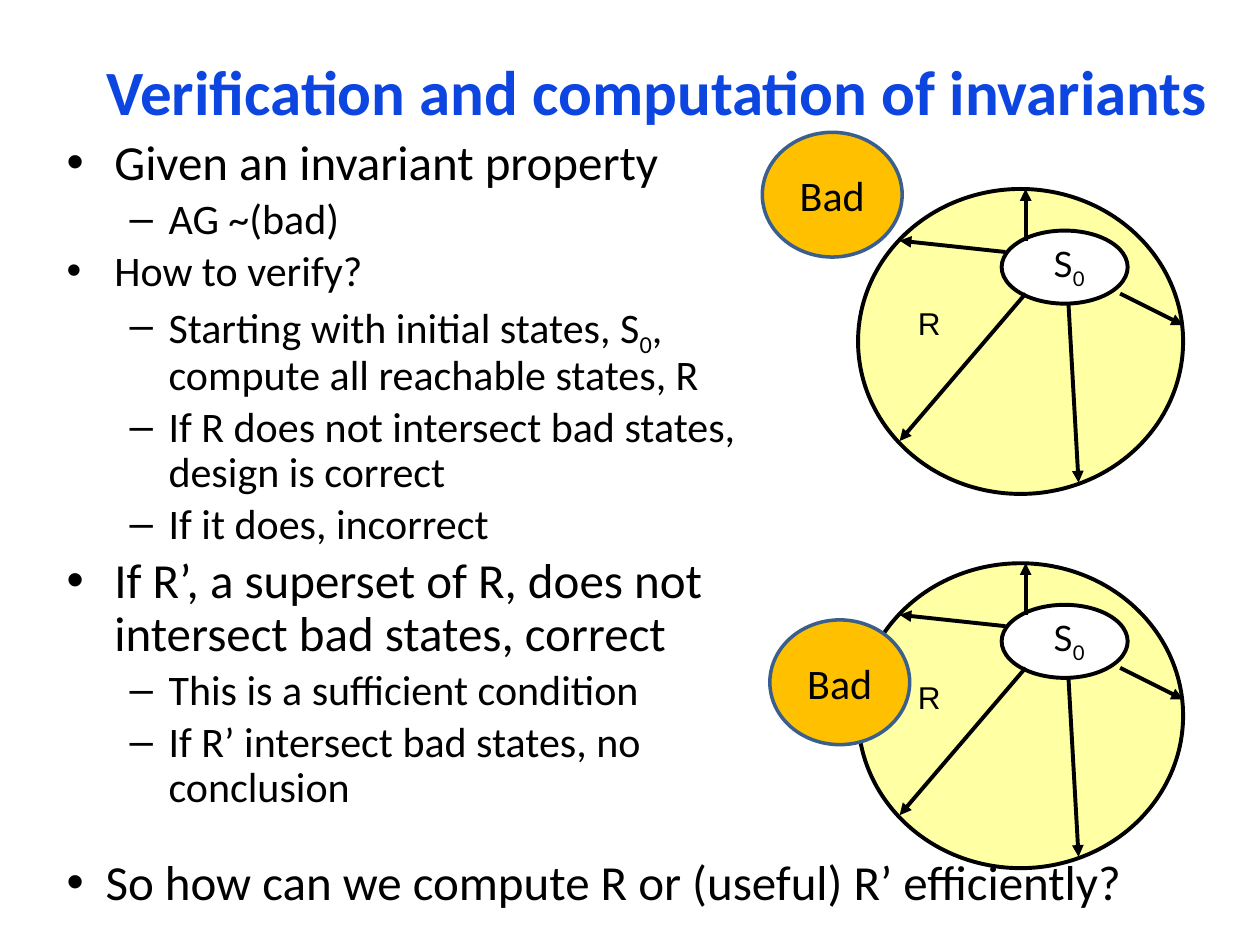
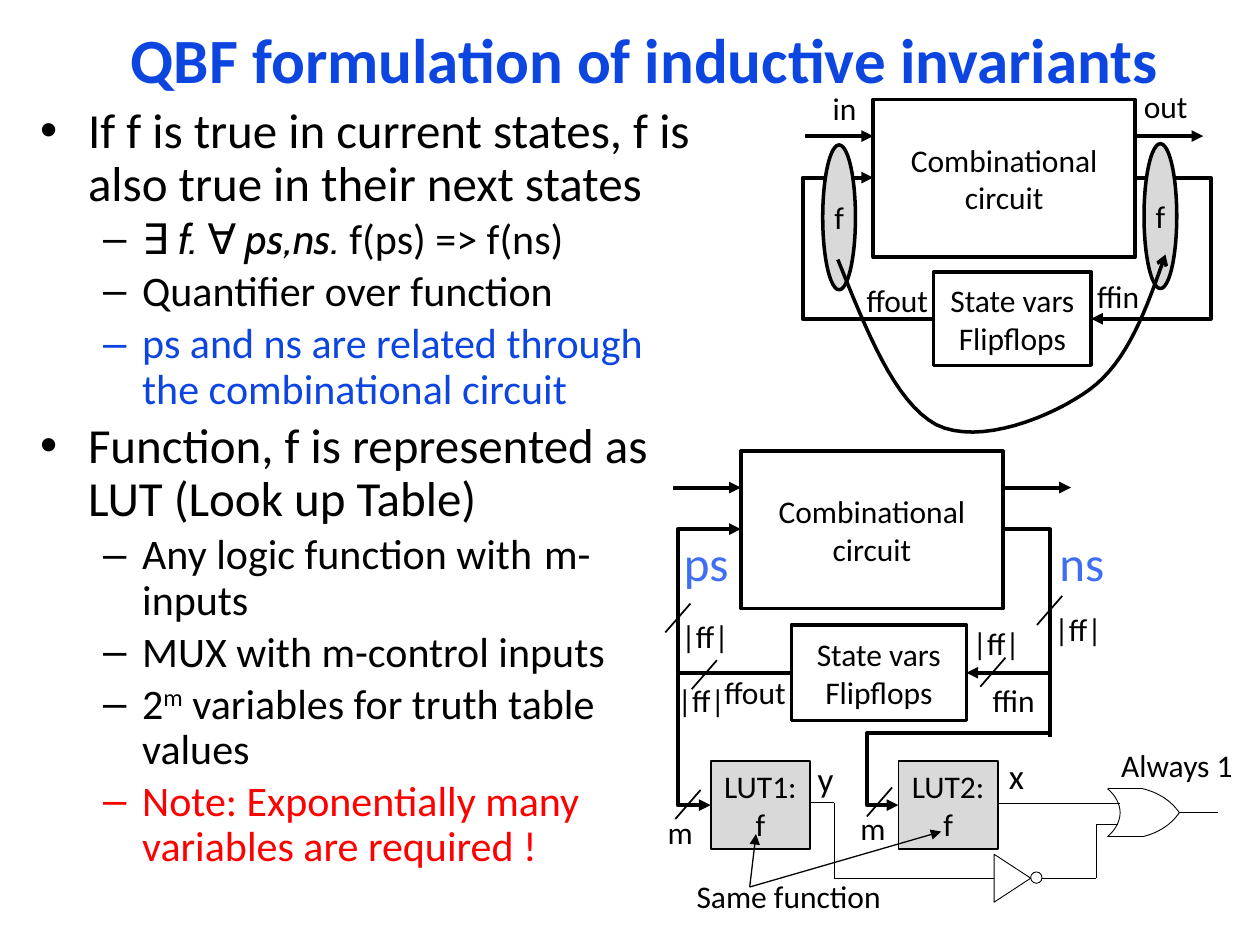
from lxml import etree
from pptx import Presentation
from pptx.dml.color import RGBColor
from pptx.enum.shapes import MSO_CONNECTOR, MSO_SHAPE
from pptx.enum.text import MSO_ANCHOR, PP_ALIGN
from pptx.oxml.ns import qn
from pptx.util import Inches, Pt

STRAIGHT, ELBOW = MSO_CONNECTOR.STRAIGHT, MSO_CONNECTOR.ELBOW
OVAL, RECTANGLE = MSO_SHAPE.OVAL, MSO_SHAPE.RECTANGLE
LEFT, CENTER = PP_ALIGN.LEFT, PP_ALIGN.CENTER
TOP, MIDDLE = MSO_ANCHOR.TOP, MSO_ANCHOR.MIDDLE

# The slide is a grid of 10 columns by 7.5 rows, one inch each
COLUMNS, ROWS = 10, 7.5
COLORS = {
    "black": "000000", "white": "FFFFFF", "title": "0D45E1", "state": "3E6EF4",
    "red": "FF0000", "reach": "FFFFA3", "bad": "FFC000", "bad_edge": "3A5F8C",
    "gray": "D9D9D9",
}
FONT = "Calibri"
BOLD, THIN, HAIR = 2.25, 1, 0.5
# Bullet levels: mark, text indent, hanging indent, size
LEVELS = [("•", 0.38, 0.38, 28), ("–", 0.81, 0.31, 24)]
SUB, SUPER = {"baseline": -25}, {"baseline": 30}


def color(name):
    return RGBColor.from_string(COLORS[name])


# ---- Text ----
def add_spans(para, spans, size, font=FONT, ink="black", bold=False):
    """Fill a paragraph from a string or from (text, changes) pairs."""
    if isinstance(spans, str):
        spans = [(spans, {})]
    for text, changes in spans:
        span = para.add_run()
        span.text = text
        changes = dict(changes)
        baseline = changes.pop("baseline", None)
        span.font.color.rgb = color(changes.pop("ink", ink))
        values = {"name": font, "size": Pt(size), "bold": bold, **changes}
        for name, value in values.items():
            setattr(span.font, name, value)
        if baseline:
            span.font._element.set("baseline", str(baseline * 1000))


def add_bullet(para, mark, indent, hanging):
    properties = para._p.get_or_add_pPr()
    properties.set("marL", str(Inches(indent)))
    properties.set("indent", str(-Inches(hanging)))
    etree.SubElement(properties, qn("a:buFont")).set("typeface", "Arial")
    etree.SubElement(properties, qn("a:buChar")).set("char", mark)


def add_box(page, left, top, width, height, wrap=True, anchor=TOP):
    box = page.shapes.add_textbox(*map(Inches, (left, top, width, height)))
    box.text_frame.word_wrap = wrap
    box.text_frame.vertical_anchor = anchor
    return box.text_frame


def add_label(page, left, top, width, height, spans, size=18, font=FONT,
              ink="black", align=LEFT, anchor=TOP):
    para = add_box(page, left, top, width, height, False, anchor).paragraphs[0]
    para.alignment = align
    add_spans(para, spans, size, font, ink)


def add_title(page, width, height, text):
    para = add_box(page, 0.62, 0.08, width, height, anchor=MIDDLE).paragraphs[0]
    para.alignment = CENTER
    add_spans(para, text, 36, ink="title", bold=True)


def add_outline(page, left, top, width, height, items):
    """Bulleted list; each item is (level, spans, changes)."""
    frame = add_box(page, left, top, width, height)
    for index, (level, spans, changes) in enumerate(items):
        para = frame.add_paragraph() if index else frame.paragraphs[0]
        mark, indent, hanging, size = LEVELS[level]
        add_bullet(para, mark, indent, hanging)
        style = {"size": size, **changes}
        para.line_spacing = 0.9
        para.space_before = Pt(0.16 * style["size"] if index else 0)
        add_spans(para, spans, **style)


# ---- Shapes and lines ----
def paint(shape, fill, edge, weight):
    shape.shadow.inherit = False
    if fill:
        shape.fill.solid()
        shape.fill.fore_color.rgb = color(fill)
    else:
        shape.fill.background()
    shape.line.color.rgb = color(edge)
    shape.line.width = Pt(weight)


def add_head(shape, head):
    if head:
        line = shape._element.find(".//" + qn("a:ln"))
        etree.SubElement(line, qn("a:tailEnd")).set("type", head)


def add_figure(page, kind, left, top, width, height, lines=(), fill=None,
               edge="black", weight=2, size=18):
    shape = page.shapes.add_shape(kind, *map(Inches, (left, top, width, height)))
    paint(shape, fill, edge, weight)
    frame = shape.text_frame
    frame.vertical_anchor = MIDDLE
    frame.margin_left = frame.margin_right = 0
    for index, text in enumerate(lines):
        para = frame.add_paragraph() if index else frame.paragraphs[0]
        para.alignment = CENTER
        add_spans(para, text, size)


def add_wire(page, begin, end, weight=BOLD, head=None, via=None):
    """Straight line, or an elbow whose upright part stands at column via."""
    kind = STRAIGHT if via is None else ELBOW
    wire = page.shapes.add_connector(kind, *map(Inches, (*begin, *end)))
    wire.line.color.rgb = color("black")
    wire.line.width = Pt(weight)
    add_head(wire, head)
    properties = wire._element.spPr
    etree.SubElement(properties, qn("a:effectLst"))
    if via is not None:
        share = (via - begin[0]) / (end[0] - begin[0])
        geometry = properties.find(qn("a:prstGeom"))
        guides = geometry.find(qn("a:avLst"))
        if guides is None:
            guides = etree.SubElement(geometry, qn("a:avLst"))
        guide = etree.SubElement(guides, qn("a:gd"))
        guide.set("name", "adj1")
        guide.set("fmla", f"val {round(share * 100000)}")


def add_arrow(page, begin, end, weight=BOLD, via=None):
    add_wire(page, begin, end, weight, "triangle", via)


def add_path(page, points, weight, fill=None, close=False, head=None):
    places = [tuple(map(Inches, point)) for point in points]
    builder = page.shapes.build_freeform(*places[0], scale=1.0)
    builder.add_line_segments(places[1:], close=close)
    shape = builder.convert_to_shape()
    paint(shape, fill, "black", weight)
    add_head(shape, head)


def curve(start, *pieces, steps=16):
    """Points along joined cubic curves; a piece is two controls and an end."""
    points = [start]
    for first, second, end in pieces:
        begin = points[-1]
        for step in range(1, steps + 1):
            t = step / steps
            weights = ((1 - t) ** 3, 3 * t * (1 - t) ** 2, 3 * t * t * (1 - t), t ** 3)
            corners = (begin, first, second, end)
            points.append(tuple(
                sum(w * corner[axis] for w, corner in zip(weights, corners))
                for axis in (0, 1)))
    return points


# ---- Diagram parts ----
def add_reachable_states(page, top, bad_left, bad_top):
    add_figure(page, OVAL, 6.81, top, 2.58, 2.42, fill="reach", weight=BOLD)
    add_figure(page, OVAL, 7.95, top + 0.33, 1, 0.58, fill="white", weight=BOLD)
    add_label(page, 8.24, top + 0.4, 0.49, 0.43, [("S", {}), ("0", SUB)],
              20, "Lato", align=CENTER, anchor=MIDDLE)
    add_label(page, 7.17, top + 0.81, 0.41, 0.5, "R", 18, "Arial",
              align=CENTER, anchor=MIDDLE)
    for x1, y1, x2, y2 in [(8.14, 0.83, 7.14, 2), (8.48, 0.91, 8.56, 2.33),
                           (7.98, 0.5, 7.14, 0.41), (8.89, 0.83, 9.39, 1.08),
                           (8.14, 0.41, 8.14, 0)]:
        add_arrow(page, (x1, top + y1), (x2, top + y2))
    add_figure(page, OVAL, bad_left, bad_top, 1.11, 0.99, ["Bad"],
               "bad", "bad_edge", size=24)


def add_circuit(page, left, top, state, loop_left, loop_right):
    """Combinational block with a register fed back around both sides."""
    width, height, port = 2.08, 1.25, 0.54
    state_left, state_top, state_width, state_height = state
    right, signal, feedback = left + width, top + 0.29, top + 0.62
    middle = state_top + state_height / 2
    add_figure(page, RECTANGLE, left, top, width, height, ["Combinational", "circuit"])
    add_figure(page, RECTANGLE, *state, ["State vars", "Flipflops"])
    add_arrow(page, (right, feedback), (state_left + state_width, middle), via=loop_right)
    add_arrow(page, (state_left, middle), (left, feedback), via=loop_left)
    add_arrow(page, (left - port, signal), (left, signal))
    add_arrow(page, (right, signal), (right + port, signal))


def add_gates(page):
    # OR gate
    left, top, bottom, shoulder, tip = 8.79, 6.26, 6.64, 9.07, 9.36
    axis = (top + bottom) / 2
    add_path(page, curve((left, top), ((8.85, 6.31), (8.89, 6.38), (8.89, axis)),
                         ((8.89, 6.52), (8.85, 6.59), (left, bottom))), HAIR)
    for edge, bend in ((top, 0.03), (bottom, -0.03)):
        add_wire(page, (left, edge), (shoulder, edge), HAIR)
        add_path(page, curve((shoulder, edge), ((9.19, edge + bend),
                             (9.29, edge + 3 * bend), (tip, axis))), HAIR)
    # Thin wiring
    for begin, end in [((tip, axis), (9.67, axis)), ((7.92, 6.38), (8.89, 6.38)),
                       ((8.7, 6.54), (8.87, 6.54)), ((6.44, 6.37), (6.62, 6.37)),
                       ((6.62, 6.37), (6.62, 6.97)), ((6.62, 6.97), (8.7, 6.97)),
                       ((8.7, 6.97), (8.7, 6.54))]:
        add_wire(page, begin, end, HAIR)
    # Inverter
    add_figure(page, OVAL, 8.18, 6.92, 0.09, 0.09, fill="white", weight=HAIR)
    add_path(page, [(7.89, 7.16), (8.18, 6.97), (7.89, 6.78)], HAIR, "white", True)


# ---- Slides ----
def build_verification(page):
    add_title(page, 9.19, 1.28, "Verification and computation of invariants")
    add_outline(page, 0.43, 1.05, 5.57, 5.98, [
        (0, "Given an invariant property", {}),
        (1, "AG ~(bad)", {}),
        (0, "How to verify?", {"size": 24}),
        (1, [("Starting with initial states, S", {}), ("0", SUB),
             (", compute all reachable states, R", {})], {}),
        (1, "If R does not intersect bad states, design is correct", {}),
        (1, "If it does, incorrect", {}),
        (0, "If R’, a superset of R, does not intersect bad states, correct", {}),
        (1, "This is a sufficient condition", {}),
        (1, "If R’ intersect bad states, no conclusion", {}),
    ])
    add_reachable_states(page, 1.5, 6.05, 1.05)
    add_reachable_states(page, 4.47, 6.11, 4.92)
    para = add_box(page, 0.43, 6.76, 9.01, 0.53).paragraphs[0]
    add_bullet(para, "•", 0.31, 0.31)
    para.line_spacing = 0.9
    add_spans(para, "So how can we compute R or (useful) R’ efficiently?", 28)


def build_formulation(page):
    add_title(page, 8.99, 0.76, "QBF formulation of inductive invariants")
    add_outline(page, 0.22, 0.79, 5.38, 5.42, [
        (0, "If f is true in current states, f is also true in their next states", {}),
        (1, [("∃ f. ∀ ps,ns. ", {"name": "Cabin", "italic": True}),
             ("f(ps) => f(ns)", {})], {}),
        (1, "Quantifier over function", {}),
        (1, "ps and ns are related through the combinational circuit", {"ink": "title"}),
        (0, "Function, f is represented as LUT (Look up Table)", {}),
        (1, "Any logic function with \tm-inputs", {}),
        (1, "MUX with m-control inputs", {}),
        (1, [("2", {}), ("m", SUPER), (" variables for truth table values", {})], {}),
        (1, "Note: Exponentially many variables are required !", {"ink": "red"}),
    ])

    # Upper circuit with f on both sides of the register
    add_circuit(page, 6.93, 0.79, (7.41, 2.16, 1.25, 0.74), 6.37, 9.61)
    for left, top in ((6.53, 1.15), (9.08, 1.14)):
        add_figure(page, OVAL, left, top, 0.26, 1.15, ["f"], "gray")
    add_path(page, curve((6.65, 2.06), ((6.88, 2.63), (7.1, 3.19), (7.43, 3.37)),
                         ((7.77, 3.54), (8.35, 3.31), (8.65, 3.09)),
                         ((8.95, 2.87), (9.1, 2.45), (9.25, 2.02))), 2, head="arrow")

    # Lower circuit feeding two look-up tables
    for left, name in ((7.13, "LUT2:"), (5.64, "LUT1:")):
        add_figure(page, RECTANGLE, left, 6.04, 0.79, 0.7, [name, "f"], "gray", weight=THIN)
    for end in ((6, 6.62), (7.47, 6.6)):
        add_arrow(page, (5.95, 7.04), end, 0.75)
    add_gates(page)
    add_circuit(page, 5.88, 3.58, (6.28, 4.96, 1.39, 0.76), 5.38, 8.33)
    add_arrow(page, (5.38, 5.35), (5.64, 6.39), via=5.38)
    add_arrow(page, (8.35, 5.82), (7.13, 6.39), via=6.88)
    add_wire(page, (8.33, 4.93), (8.33, 5.85))

    # Bus slashes
    for left, top in [(5.36, 6.27), (6.88, 6.25), (5.49, 5.24),
                      (5.28, 4.79), (8.23, 4.73), (7.78, 5.22)]:
        add_wire(page, (left + 0.2, top), (left, top + 0.23), THIN)

    # Signal names
    for left, top, width, text in [
            (6.51, 0.66, 0.39, "in"), (8.98, 0.64, 0.55, "out"),
            (8.61, 2.15, 0.54, "ffin"), (6.78, 2.18, 0.7, "ffout"),
            (7.78, 5.36, 0.54, "ffin"), (5.65, 5.29, 0.7, "ffout"),
            (5.43, 6.91, 1.74, "Same function"), (8.8, 5.87, 1.09, "Always 1"),
            (5.2, 6.4, 0.4, "m"), (6.73, 6.37, 0.4, "m"),
            (5.28, 5.36, 0.59, "|ff|"), (5.31, 4.85, 0.59, "|ff|"),
            (8.27, 4.79, 0.59, "|ff|"), (7.62, 4.9, 0.59, "|ff|")]:
        add_label(page, left, top, width, 0.4, text)
    for left, top, text in ((7.91, 5.94, "x"), (6.39, 5.96, "y")):
        add_label(page, left, top, 0.33, 0.44, text, 20)
    for left, text in ((5.33, "ps"), (8.31, "ns")):
        add_label(page, left, 4.18, 0.56, 0.57, text, 28, ink="state")


def main():
    deck = Presentation()
    deck.slide_width, deck.slide_height = Inches(COLUMNS), Inches(ROWS)
    for build in (build_verification, build_formulation):
        build(deck.slides.add_slide(deck.slide_layouts[6]))
    deck.save("out.pptx")


if __name__ == "__main__":
    main()
